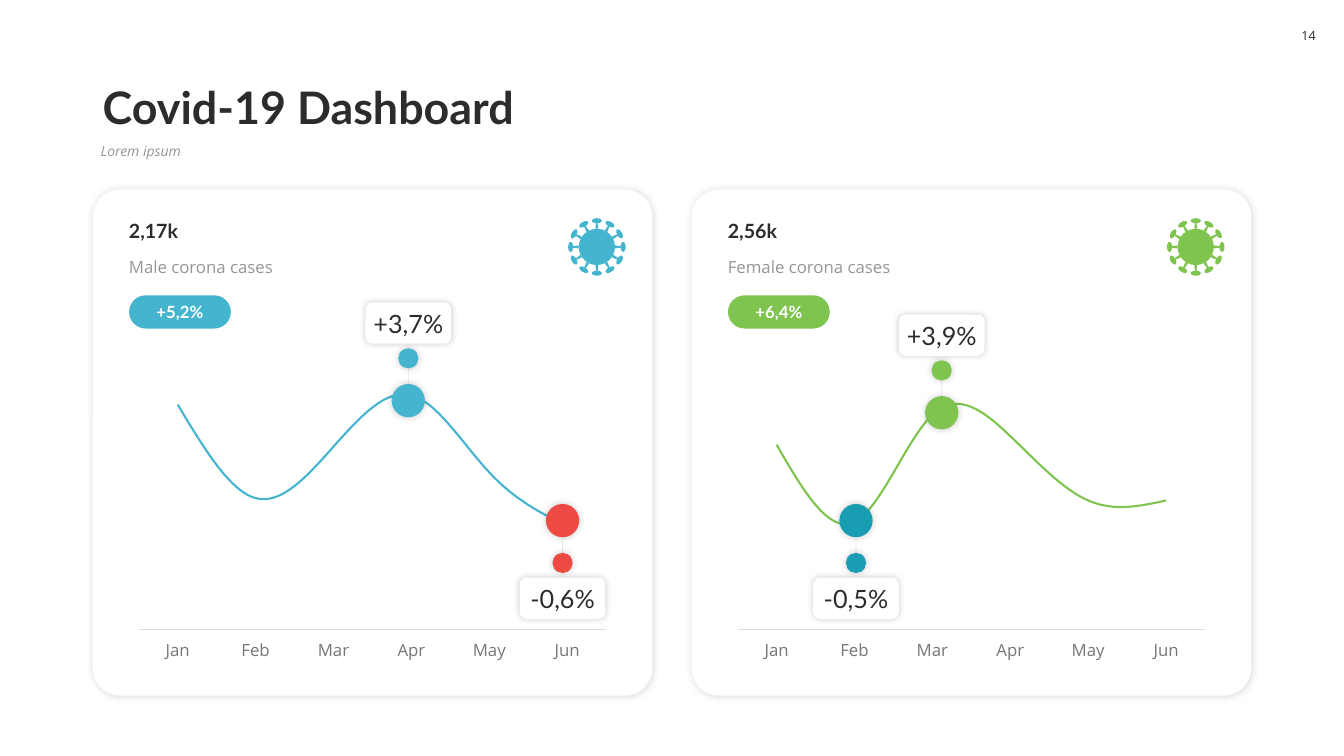
from math import cos, radians, sin
from lxml import etree
from pptx import Presentation
from pptx.chart.data import CategoryChartData
from pptx.dml.color import RGBColor
from pptx.enum.chart import XL_CHART_TYPE, XL_MARKER_STYLE, XL_TICK_LABEL_POSITION, XL_TICK_MARK
from pptx.enum.shapes import MSO_CONNECTOR, MSO_SHAPE
from pptx.enum.text import MSO_ANCHOR, MSO_AUTO_SIZE, PP_ALIGN
from pptx.oxml import parse_xml
from pptx.oxml.ns import qn
from pptx.util import Inches, Pt

ROUND, OVAL, TRAP = MSO_SHAPE.ROUNDED_RECTANGLE, MSO_SHAPE.OVAL, MSO_SHAPE.TRAPEZOID
LINE, STRAIGHT = XL_CHART_TYPE.LINE, MSO_CONNECTOR.STRAIGHT
NO_MARK, NO_TICK = XL_MARKER_STYLE.NONE, XL_TICK_MARK.NONE
LOW = XL_TICK_LABEL_POSITION.LOW
TOP, MIDDLE, BOTTOM = MSO_ANCHOR.TOP, MSO_ANCHOR.MIDDLE, MSO_ANCHOR.BOTTOM
LEFT, CENTER, GROW = PP_ALIGN.LEFT, PP_ALIGN.CENTER, MSO_AUTO_SIZE.SHAPE_TO_FIT_TEXT

HUES = {"white": "FFFFFF", "ink": "2C2C2C", "gray": "969696", "label": "767676",
        "rule": "DFDFDF", "blue": "45B5CF", "green": "7EC44E", "red": "ED4A43",
        "teal": "199DB3"}
FONTS = {
    "title": {"name": "Lato", "size": Pt(32), "bold": True, "color": "ink"},
    "sub": {"name": "Open Sans", "size": Pt(10), "italic": True, "color": "gray"},
    "page": {"name": "Open Sans", "size": Pt(9), "color": "ink"},
    "total": {"name": "Lato", "size": Pt(14), "bold": True, "color": "ink"},
    "note": {"name": "Open Sans", "size": Pt(12), "color": "gray"},
    "pill": {"name": "Lato", "size": Pt(12), "bold": True, "color": "white"},
    "tag": {"name": "Lato", "size": Pt(18), "color": "ink"},
    "chart": {"name": "Open Sans", "size": Pt(12), "color": "ink"},
    "axis": {"name": "Open Sans", "size": Pt(12), "color": "label"},
}
MONTHS = ["Jan", "Feb", "Mar", "Apr", "May", "Jun"]
# marks: text, hue, centre from card edge, dot top, side (-1 above, 1 below)
CARDS = [
    {"left": 0.92, "total": "2,17k", "note": "Male corona cases", "pill": "+5,2%",
     "hue": "blue", "vals": [96, 56, 78, 100, 67, 44], "peak": 110,
     "marks": [("+3,7%", "blue", 3.13, 3.81, -1), ("-0,6%", "red", 4.66, 5, 1)]},
    {"left": 6.86, "total": "2,56k", "note": "Female corona cases", "pill": "+6,4%",
     "hue": "green", "vals": [86, 50, 100, 90, 60, 60], "peak": 120,
     "marks": [("+3,9%", "green", 2.48, 3.93, -1), ("-0,5%", "teal", 1.63, 5, 1)]},
]
# shadows: opacity in percent, blur and distance in points
SOFT, GLOW = (15, 6, 1), (20, 5, 0)
A = 'xmlns:a="http://schemas.openxmlformats.org/drawingml/2006/main"'
C = 'xmlns:c="http://schemas.openxmlformats.org/drawingml/2006/chart"'
PLOT = {"x": 0.02, "y": 0.03, "w": 0.96, "h": 0.86}


def rgb(hue):
    return RGBColor.from_string(HUES[hue])


def style(font, kind):
    for key, val in FONTS[kind].items():
        if key == "color":
            font.color.rgb = rgb(val)
        else:
            setattr(font, key, val)


def write(shape, text, kind, align=CENTER, space=None, **frame):
    """Fill the text frame; frame holds its margins and anchor."""
    body = shape.text_frame
    for key, val in {"word_wrap": True, **frame}.items():
        setattr(body, key, val)
    para = body.paragraphs[0]
    para.alignment = align
    if space:
        para.line_spacing = space
    run = para.add_run()
    run.text = text
    style(run.font, kind)


def label(at, text, kind, **frame):
    write(slide.shapes.add_textbox(*map(Inches, at)), text, kind, LEFT, **frame)


def draw(home, form, mid, size, hue, adj=None, turn=0, shade=None):
    """Add a plain filled shape, placed by its centre."""
    x, y = (m - s / 2 for m, s in zip(mid, size))
    shape = home.add_shape(form, *map(Inches, (x, y, *size)))
    shape.fill.solid()
    shape.fill.fore_color.rgb = rgb(hue)
    shape.line.fill.background()
    shape.shadow.inherit = False
    shape.rotation = turn
    if adj is not None:
        shape.adjustments[0] = adj
    if shade:
        part, blur, dist = shade
        glow = parse_xml(
            f'<a:outerShdw {A} blurRad="{Pt(blur)}" dist="{Pt(dist)}" dir="2700000" '
            f'algn="ctr" rotWithShape="0"><a:srgbClr val="000000">'
            f'<a:alpha val="{part * 1000}"/></a:srgbClr></a:outerShdw>')
        shape._element.spPr.find(qn("a:effectLst")).append(glow)
    return shape


def virus(x, y, hue):
    home = slide.shapes.add_group_shape().shapes
    draw(home, OVAL, (x, y), (0.36, 0.36), hue)
    for turn in range(0, 360, 30):
        dx, dy = sin(radians(turn)), -cos(radians(turn))
        draw(home, TRAP, (x + 0.21 * dx, y + 0.21 * dy), (0.03, 0.06), hue, 0.27, turn)
        draw(home, OVAL, (x + 0.26 * dx, y + 0.26 * dy), (0.1, 0.05), hue, turn=turn)


def mark(x, y, side, text, hue):
    """Dot on the curve, with a stem, a small dot and a tag on one side."""
    home = slide.shapes
    draw(home, OVAL, (x, y), (0.33, 0.33), hue, shade=GLOW)
    ends = (x, y + side * 0.16, x, y + side * 0.32)
    stem = home.add_connector(STRAIGHT, *map(Inches, ends))
    stem.line.color.rgb = rgb("ink")
    stem.line.width = Pt(0.5)
    props = stem._element.spPr
    etree.SubElement(props.find(".//" + qn("a:srgbClr")), qn("a:alpha"), val="10000")
    etree.SubElement(props, qn("a:effectLst"))
    draw(home, OVAL, (x, y + side * 0.42), (0.2, 0.2), hue, shade=GLOW)
    tag = draw(home, ROUND, (x, y + side * 0.77), (0.85, 0.41), "white", shade=GLOW)
    write(tag, text, "tag", vertical_anchor=MIDDLE,
          margin_left=Inches(0.04), margin_right=Inches(0.04))


def curve(left, vals, peak, hue):
    data = CategoryChartData()
    data.categories = MONTHS
    data.add_series("Series 1", vals)
    box = map(Inches, (left, 3.6, 4.83, 2.97))
    chart = slide.shapes.add_chart(LINE, *box, data).chart
    chart.has_legend = chart.has_title = False
    style(chart.font, "chart")
    plot = chart.plots[0]
    plot.vary_by_categories = False
    row = plot.series[0]
    row.smooth = True
    row.marker.style = NO_MARK
    row.format.line.color.rgb = rgb(hue)
    row.format.line.width = Pt(1.5)
    months, scale = chart.category_axis, chart.value_axis
    months.major_tick_mark = months.minor_tick_mark = NO_TICK
    months.tick_label_position = LOW
    months.format.line.color.rgb = rgb("rule")
    months.format.line.width = Pt(0.75)
    style(months.tick_labels.font, "axis")
    scale.has_major_gridlines = scale.visible = False
    scale.minimum_scale, scale.maximum_scale = 0, peak
    area = chart._chartSpace.chart.plotArea
    for old in area.findall(qn("c:layout")):
        area.remove(old)
    spots = "".join(f'<c:{key} val="{val}"/>' for key, val in PLOT.items())
    area.insert(0, parse_xml(
        f'<c:layout {C}><c:manualLayout><c:layoutTarget val="inner"/>'
        f'<c:xMode val="edge"/><c:yMode val="edge"/>{spots}</c:manualLayout></c:layout>'))


def card(left, total, note, pill, hue, vals, peak, marks):
    home = slide.shapes
    draw(home, ROUND, (left + 2.775, 4.39), (5.55, 5.02), "white", 0.054, shade=SOFT)
    label((left + 0.26, 2.11, 5.01, 0.34), total, "total",
          vertical_anchor=BOTTOM, auto_size=GROW)
    label((left + 0.26, 2.5, 5.01, 0.3), note, "note", auto_size=GROW)
    chip = draw(home, ROUND, (left + 0.865, 3.095), (1.01, 0.33), hue, 0.5)
    write(chip, pill, "pill", vertical_anchor=MIDDLE, margin_left=0,
          margin_right=0, margin_top=0, margin_bottom=0)
    curve(left + 0.36, vals, peak, hue)
    for text, tint, x, top, side in marks:
        mark(left + x, top + 0.165, side, text, tint)
    virus(left + 5, 2.45, hue)


deck = Presentation()
deck.slide_width, deck.slide_height = Inches(13.33), Inches(7.5)
slide = deck.slides.add_slide(deck.slide_layouts[6])
label((0.92, 0.58, 11.5, 0.8), "Covid-19 Dashboard", "title",
      space=0.9, vertical_anchor=BOTTOM)
label((0.9, 1.38, 11.52, 0.36), "Lorem ipsum", "sub", space=0.9, vertical_anchor=TOP)
page = draw(slide.shapes, ROUND, (12.98, 0.355), (0.36, 0.35), "white", 0.267)
write(page, "14", "page", vertical_anchor=MIDDLE, margin_left=0, margin_right=0,
      word_wrap=False)
for item in CARDS:
    card(**item)
deck.save("out.pptx")
